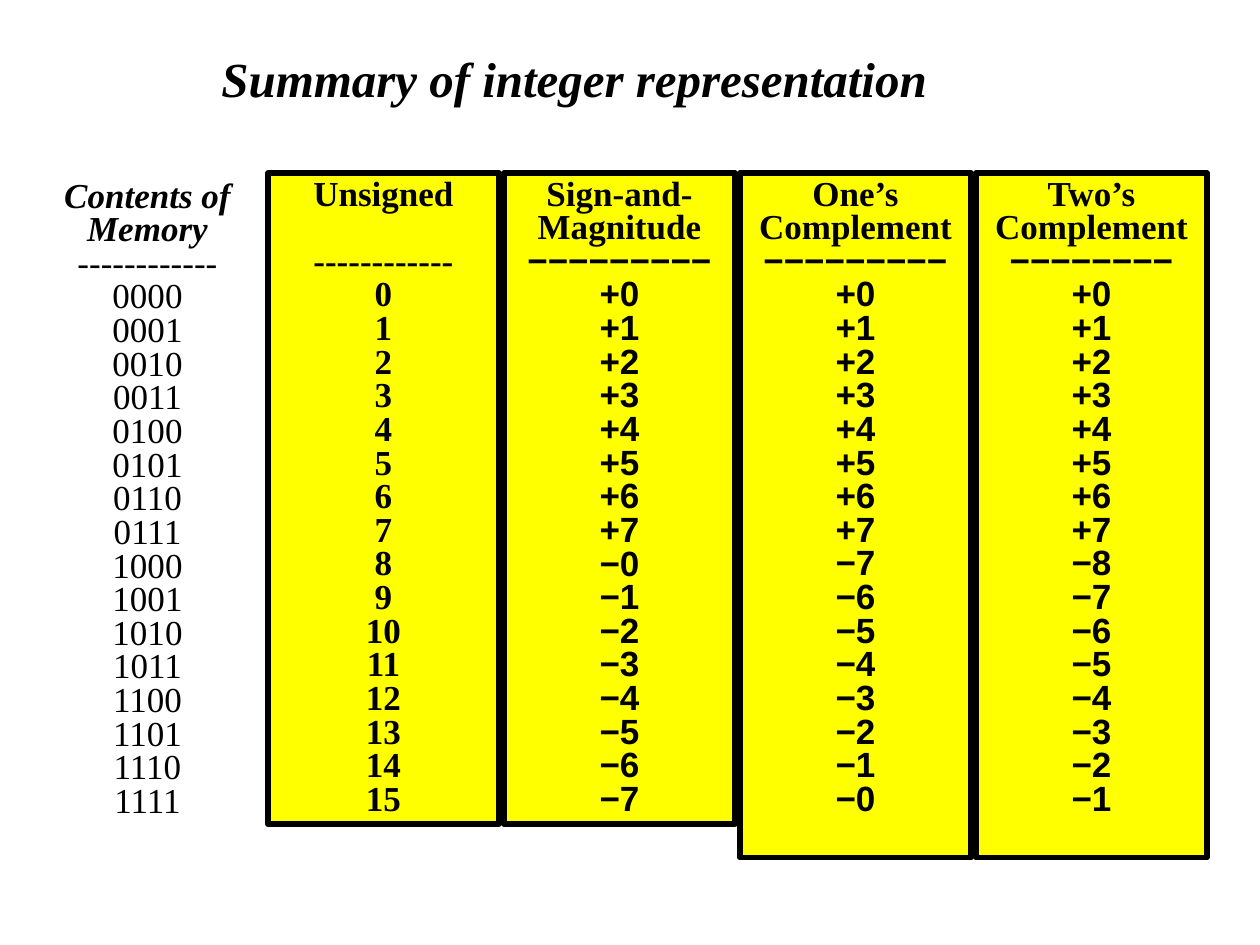
from pptx import Presentation
from pptx.dml.color import RGBColor
from pptx.enum.shapes import MSO_SHAPE
from pptx.enum.text import MSO_ANCHOR, PP_ALIGN
from pptx.util import Emu, Pt

PX = 914400 // 126
COLORS = {"ink": "000000", "paper": "FFFFFF", "column": "FFFF00"}
SERIF, SANS = "Times New Roman", "Arial"

TITLE = "Summary of integer representation"
POSITIVE = [f"+{n}" for n in range(8)]


def negatives(first, last):
    step = 1 if last > first else -1
    return [f"−{n}" for n in range(first, last + step, step)]


MEMORY = ("Contents of Memory", "-" * 12, [f"{n:04b}" for n in range(16)])
# heading, rule, values, font of the values, height in px, space above the rule in pt
COLUMNS = [
    ("Unsigned", "-" * 12, [str(n) for n in range(16)], SERIF, 651, 19.2),
    ("Sign-and-Magnitude", "−" * 9, POSITIVE + negatives(0, 7), SANS, 651, 0),
    ("One’s\vComplement", "−" * 9, POSITIVE + negatives(7, 0), SANS, 685, 0),
    ("Two’s\vComplement", "−" * 8, POSITIVE + negatives(8, 1), SANS, 685, 0),
]
COLUMN_LEFT, COLUMN_TOP, COLUMN_WIDTH, COLUMN_PITCH = 268, 173, 231, 236


def px(*lengths):
    return [Emu(n * PX) for n in lengths]


def color(name):
    return RGBColor.from_string(COLORS[name])


def add_run(p, text, font=SERIF, size=20, bold=False, italic=False):
    """Add text to a paragraph, with each vertical tab as a line break."""
    for i, line in enumerate(text.split("\v")):
        if i:
            p.add_line_break()
        r = p.add_run()
        r.text = line
        r.font.name, r.font.size = font, Pt(size)
        r.font.bold, r.font.italic = bold, italic
        r.font.color.rgb = color("ink")


def add_column(slide, box, fill, heading, rule, values, font=SERIF,
               bold=True, italic=False, outlined=True, rule_gap=0):
    s = slide.shapes.add_shape(MSO_SHAPE.RECTANGLE, *px(*box))
    s.shadow.inherit = False
    s.fill.solid()
    s.fill.fore_color.rgb = color(fill)
    if outlined:
        s.line.color.rgb = color("ink")
        s.line.width = Pt(3)
    else:
        s.line.fill.background()
    tf = s.text_frame
    tf.word_wrap = True
    tf.vertical_anchor = MSO_ANCHOR.TOP
    for i, text in enumerate([heading, rule, *values]):
        p = tf.add_paragraph() if i else tf.paragraphs[0]
        p.alignment = PP_ALIGN.CENTER
        p.line_spacing = 0.8
        p.space_before = Pt(rule_gap if i == 1 else 0)
        if i:
            add_run(p, text, font, bold=bold)
        else:
            add_run(p, text, bold=True, italic=italic)


prs = Presentation()
prs.slide_width, prs.slide_height = px(1260, 945)
slide = prs.slides.add_slide(prs.slide_layouts[6])

title = slide.shapes.add_textbox(*px(209, 42, 911, 72))
title.text_frame.word_wrap = True
add_run(title.text_frame.paragraphs[0], TITLE, size=28, bold=True, italic=True)

add_column(slide, (32, 175, 231, 651), "paper", *MEMORY,
           bold=False, italic=True, outlined=False)
for i, (heading, rule, values, font, height, gap) in enumerate(COLUMNS):
    box = (COLUMN_LEFT + i * COLUMN_PITCH, COLUMN_TOP, COLUMN_WIDTH, height)
    add_column(slide, box, "column", heading, rule, values, font, rule_gap=gap)

prs.save("out.pptx")
